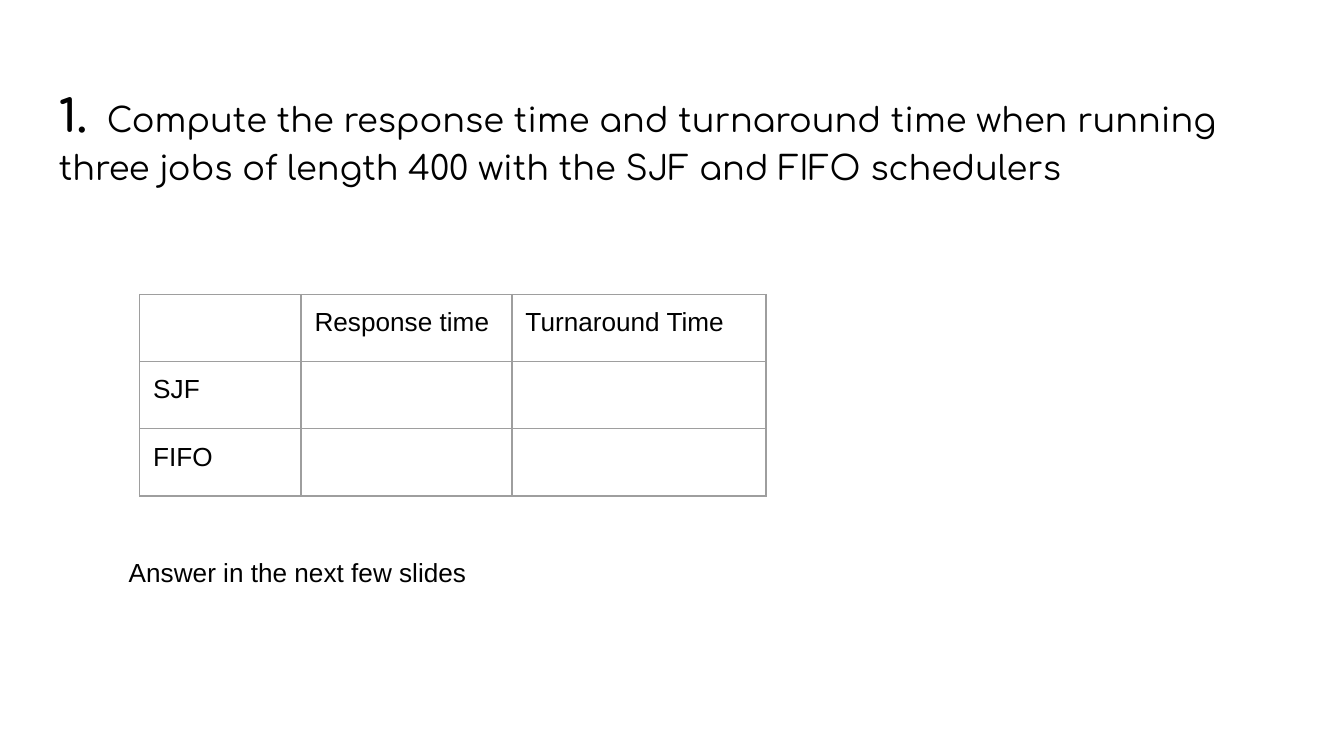
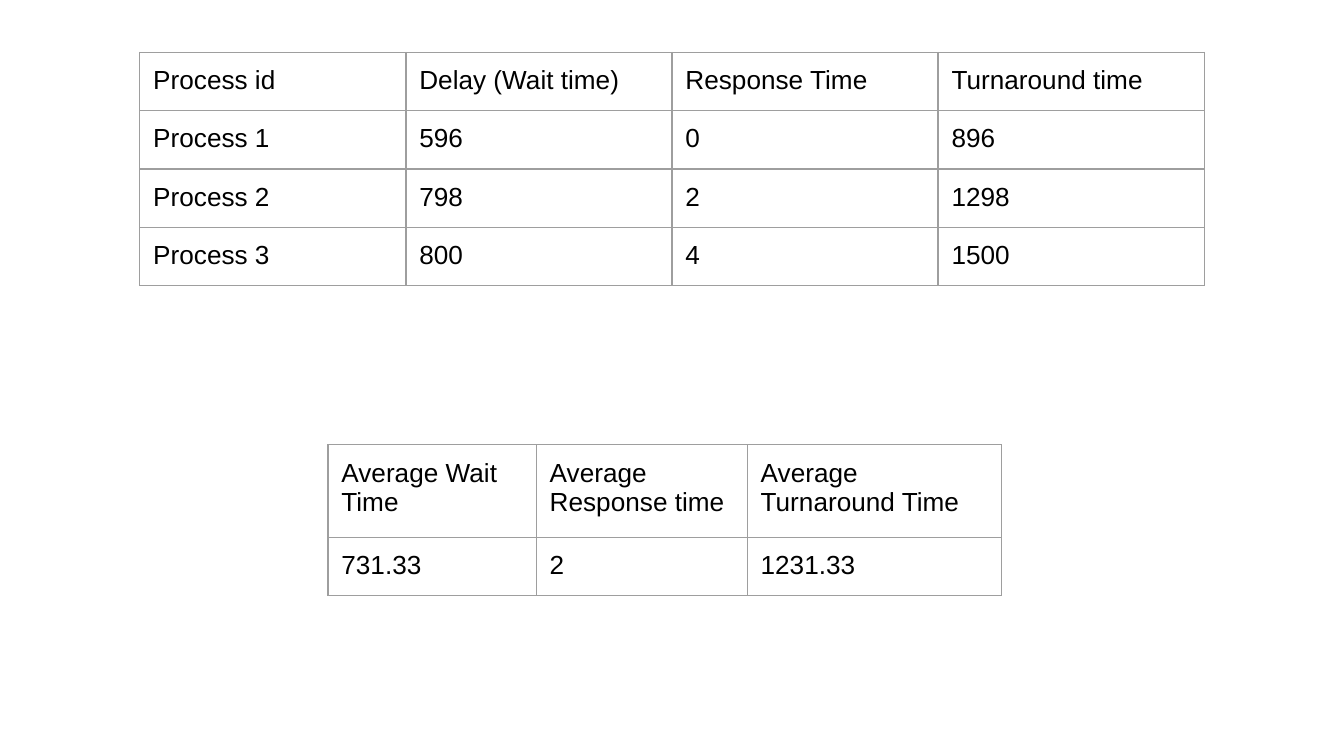
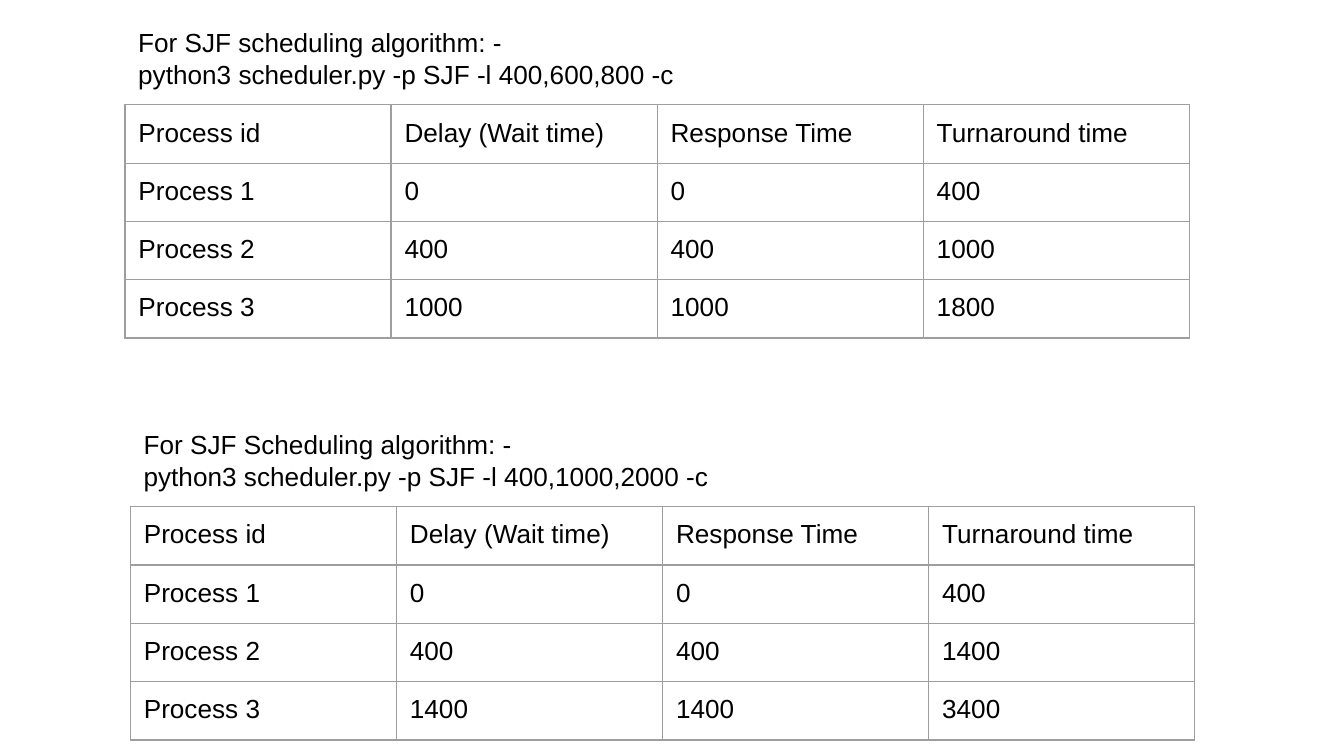
import pptx
import pptx.dml.color
import pptx.enum.text
import pptx.oxml
import pptx.util

CELL = pptx.util.Inches(0.1)
SLIDE_COLUMNS, SLIDE_ROWS = 100, 56.25
INSET = 1
INK, RULE = "000000", "9E9E9E"
BODY_FONT, BODY_SIZE = "Arial", 14
TITLE_FONT, TITLE_SIZE, NUMBER_SIZE = "Comfortaa", 18, 24
PROCESS_HEADER = ["Process id", "Delay (Wait time)", "Response Time", "Turnaround time"]
PROCESS_COLUMN, PROCESS_ROW = 19.8, 4.17
SUMMARY_COLUMNS = [15.7, 18.9]


def grid(count):
    """Turn a number of grid cells into a length."""
    return round(count * CELL)


def colour(code):
    """Turn a hex string into a colour."""
    return pptx.dml.color.RGBColor.from_string(code)


def add_span(para, text, font=BODY_FONT, size=BODY_SIZE, bold=False):
    """Add one styled run to a paragraph."""
    span = para.add_run()
    span.text = text
    span.font.name = font
    span.font.size = pptx.util.Pt(size)
    span.font.bold = bold
    span.font.color.rgb = colour(INK)


def set_insets(holder):
    """Give a text frame or a table cell the shared margins."""
    holder.margin_left = holder.margin_right = grid(INSET)
    holder.margin_top = holder.margin_bottom = grid(INSET)


def add_box(page, left, top, width, height):
    """Add an empty wrapping text box and return its text frame."""
    box = page.shapes.add_textbox(grid(left), grid(top), grid(width), grid(height))
    frame = box.text_frame
    frame.word_wrap = True
    frame.vertical_anchor = pptx.enum.text.MSO_ANCHOR.TOP
    set_insets(frame)
    return frame


def add_question(page, number, text):
    """Add a numbered question as the title."""
    para = add_box(page, 3.4, 4.9, 93.2, 34.1).paragraphs[0]
    para.line_spacing = 1.15
    add_span(para, number, TITLE_FONT, NUMBER_SIZE, True)
    add_span(para, text, TITLE_FONT, TITLE_SIZE)


def add_note(page, left, top, width, lines):
    """Add body text with one paragraph for each line."""
    frame = add_box(page, left, top, width, 2 * INSET + 2.35 * len(lines))
    for index, line in enumerate(lines):
        para = frame.add_paragraph() if index else frame.paragraphs[0]
        add_span(para, line)


def add_borders(cell):
    """Draw a thin rule on all four sides of a table cell."""
    properties = cell._tc.get_or_add_tcPr()
    namespace = "http://schemas.openxmlformats.org/drawingml/2006/main"
    for index, side in enumerate(["lnL", "lnR", "lnT", "lnB"]):
        properties.insert(index, pptx.oxml.parse_xml(
            f'<a:{side} xmlns:a="{namespace}" w="{pptx.util.Pt(0.75)}">'
            f'<a:solidFill><a:srgbClr val="{RULE}"/></a:solidFill></a:{side}>'))


def add_grid_table(page, left, top, widths, heights, rows):
    """Add a plain ruled table."""
    table = page.shapes.add_table(
        len(rows), len(widths), grid(left), grid(top),
        grid(sum(widths)), grid(sum(heights))).table
    table.first_row = table.horz_banding = False
    for column, width in zip(table.columns, widths):
        column.width = grid(width)
    for row, height, texts in zip(table.rows, heights, rows):
        row.height = grid(height)
        for cell, text in zip(row.cells, texts):
            set_insets(cell)
            cell.fill.background()
            add_borders(cell)
            if text:
                add_span(cell.text_frame.paragraphs[0], text)


def add_process_table(page, left, top, results):
    """Add the wait, response and turnaround times of each process."""
    rows = [PROCESS_HEADER]
    for number, times in enumerate(results, 1):
        rows.append([f"Process {number}"] + [str(time) for time in times])
    add_grid_table(page, left, top, [PROCESS_COLUMN] * len(PROCESS_HEADER),
                   [PROCESS_ROW] * len(rows), rows)


def add_sjf_run(page, left, top, word, width, lengths, results):
    """Add one SJF command with the table of its results below."""
    add_process_table(page, left, top + 6.8, results)
    add_note(page, left, top, width, [
        f"For SJF {word} algorithm: -",
        f"python3 scheduler.py -p SJF -l {lengths} -c"])


def build_question_page(page):
    """Build the question with its unfilled table."""
    add_question(page, "1.", "  Compute the response time and turnaround time when running "
                 "three jobs of length 400 with the SJF and FIFO schedulers")
    add_grid_table(page, 10.4, 21.9, [12] + SUMMARY_COLUMNS, [4.3] * 3, [
        ["", "Response time", "Turnaround Time"], ["SJF", "", ""], ["FIFO", "", ""]])
    add_note(page, 8.6, 40.4, 60.7, ["Answer in the next few slides"])


def build_average_page(page):
    """Build the process times and their averages."""
    add_process_table(page, 10.4, 3.9, [(596, 0, 896), (798, 2, 1298), (800, 4, 1500)])
    add_grid_table(page, 24.4, 33.1, [15.5] + SUMMARY_COLUMNS, [6.9, 4.3], [
        ["Average Wait Time", "Average Response time", "Average Turnaround Time"],
        ["731.33", "2", "1231.33"]])


def build_sjf_page(page):
    """Build the two SJF runs."""
    add_sjf_run(page, 9.3, 1, "scheduling", 60.6, "400,600,800",
                [(0, 0, 400), (400, 400, 1000), (1000, 1000, 1800)])
    add_sjf_run(page, 9.7, 30.9, "Scheduling", 64.5, "400,1000,2000",
                [(0, 0, 400), (400, 400, 1400), (1400, 1400, 3400)])


def main():
    """Build and save the deck."""
    deck = pptx.Presentation()
    deck.slide_width, deck.slide_height = grid(SLIDE_COLUMNS), grid(SLIDE_ROWS)
    for build in (build_question_page, build_average_page, build_sjf_page):
        build(deck.slides.add_slide(deck.slide_layouts[6]))
    deck.save("out.pptx")


if __name__ == "__main__":
    main()
